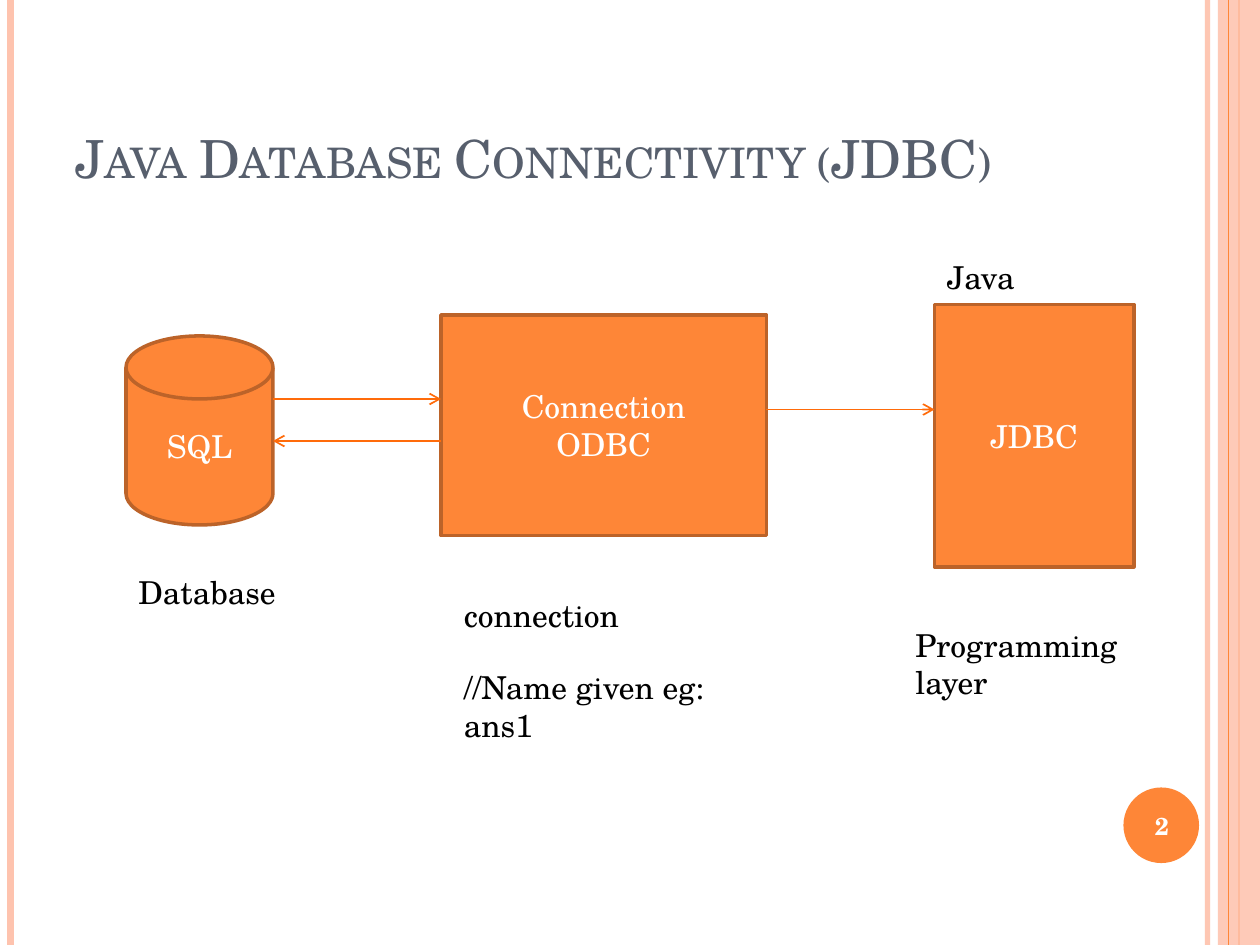
"""Builds the JDBC overview slide: database, connection and programming layer."""
from dataclasses import dataclass

from lxml import etree
from pptx import Presentation
from pptx.dml.color import RGBColor
from pptx.enum import shapes, text
from pptx.oxml import ns
from pptx.util import Pt

FONT = "TeX Gyre Schola"
ORANGE, RUST, PEACH, ARROW = "FE8637", "BC6329", "FEC3AE", "FF6B0A"
WHITE, BLACK, SLATE = "FFFFFF", "000000", "575F6D"
WIDTH, HEIGHT = 720, 540


@dataclass
class Box:
    kind: shapes.MSO_SHAPE
    left: float
    top: float
    width: float
    height: float
    text: str = ""
    fill: str = ORANGE
    line: str = ""
    opacity: int = 100


@dataclass
class Label:
    left: float
    top: float
    width: float
    height: float
    text: str


@dataclass
class Line:
    x1: float
    y1: float
    x2: float
    y2: float
    color: str
    weight: float
    opacity: int = 100
    arrow: bool = False


def rgb(color: str) -> RGBColor:
    return RGBColor.from_string(color)


def sub(parent, tag: str, **attrs: str):
    return etree.SubElement(parent, ns.qn(tag), **attrs)


def set_opacity(element, percent: int) -> None:
    if percent < 100:
        color = next(element.iter(ns.qn("a:srgbClr")))
        sub(color, "a:alpha", val=str(percent * 1000))


def write(tf, content: str, color: str, size: float = 18, bold: bool = False,
          align=text.PP_ALIGN.LEFT, anchor=text.MSO_ANCHOR.TOP) -> None:
    tf.text = content
    tf.word_wrap = True
    tf.vertical_anchor = anchor
    for p in tf.paragraphs:
        p.alignment = align
        p.font.name, p.font.size, p.font.bold = FONT, Pt(size), bold
        p.font.color.rgb = rgb(color)


def draw_box(s, box: Box) -> None:
    sp = s.shapes.add_shape(box.kind, Pt(box.left), Pt(box.top), Pt(box.width), Pt(box.height))
    sp.shadow.inherit = False
    sp.fill.solid()
    sp.fill.fore_color.rgb = rgb(box.fill)
    set_opacity(sp.fill._xPr, box.opacity)
    if box.line:
        sp.line.color.rgb = rgb(box.line)
        sp.line.width = Pt(2)
    else:
        sp.line.fill.background()
    if box.text:
        write(sp.text_frame, box.text, WHITE, align=text.PP_ALIGN.CENTER,
              anchor=text.MSO_ANCHOR.MIDDLE)


def draw_line(s, line: Line) -> None:
    c = s.shapes.add_connector(shapes.MSO_CONNECTOR.STRAIGHT, Pt(line.x1), Pt(line.y1),
                               Pt(line.x2), Pt(line.y2))
    c.line.color.rgb = rgb(line.color)
    c.line.width = Pt(line.weight)
    ln = c.line._get_or_add_ln()
    set_opacity(ln, line.opacity)
    if line.arrow:
        sub(ln, "a:tailEnd", type="arrow")
    sub(c._element.spPr, "a:effectLst")


def draw_label(s, label: Label, **style) -> None:
    sp = s.shapes.add_textbox(Pt(label.left), Pt(label.top), Pt(label.width), Pt(label.height))
    write(sp.text_frame, label.text, **style)


def set_title(s, content: str) -> None:
    sp = s.shapes.title
    sp.left, sp.top, sp.width, sp.height = Pt(36), Pt(21.6), Pt(588), Pt(90)
    write(sp.text_frame, content, SLATE, 30, anchor=text.MSO_ANCHOR.BOTTOM)
    sp.text_frame.auto_size = text.MSO_AUTO_SIZE.NONE
    r = sp.text_frame.paragraphs[0].runs[0]
    r.font._element.set("cap", "small")


def vertical(x: float, color: str, weight: float, opacity: int = 100) -> Line:
    return Line(x, 0, x, HEIGHT, color, weight, opacity)


SHAPE = shapes.MSO_SHAPE
BORDER = [
    vertical(690, PEACH, 3, 93),
    vertical(6, PEACH, 4.5),
    vertical(708, ORANGE, 1.5),
    Box(SHAPE.RECTANGLE, 696, 0, 24, HEIGHT, fill=PEACH, opacity=87),
    vertical(702, ORANGE, 0.75),
    Box(SHAPE.OVAL, 642, 450, 43.2, 43.2),
]
DIAGRAM = [
    Box(SHAPE.FLOWCHART_MAGNETIC_DISK, 72, 192, 84, 108, "SQL", line=RUST),
    Box(SHAPE.RECTANGLE, 252, 180, 186, 126, "Connection\nODBC", line=RUST),
    Box(SHAPE.RECTANGLE, 534, 174, 114, 150, "JDBC", line=RUST),
    Line(156, 228, 252, 228, ARROW, 1, arrow=True),
    Line(252, 252, 156, 252, ARROW, 1, arrow=True),
    Line(438, 234, 534, 234, ARROW, 1, arrow=True),
]
LABELS = [
    Label(534, 144, 108, 30, "Java"),
    Label(72, 324, 102, 29, "Database"),
    Label(258, 337, 174, 29, "connection"),
    Label(516, 354, 132, 51, "Programming layer"),
    Label(258, 378, 156, 51, "//Name given eg: ans1"),
]


def main() -> None:
    prs = Presentation()
    prs.slide_width, prs.slide_height = Pt(WIDTH), Pt(HEIGHT)
    s = prs.slides.add_slide(prs.slide_layouts[5])
    set_title(s, "Java Database Connectivity (JDBC)")
    for item in BORDER + DIAGRAM:
        if isinstance(item, Box):
            draw_box(s, item)
        else:
            draw_line(s, item)
    for label in LABELS:
        draw_label(s, label, color=BLACK)
    draw_label(s, Label(640, 451.5, 48, 41, "2"), color=WHITE, size=14, bold=True,
               align=text.PP_ALIGN.CENTER, anchor=text.MSO_ANCHOR.MIDDLE)
    prs.save("out.pptx")


if __name__ == "__main__":
    main()
